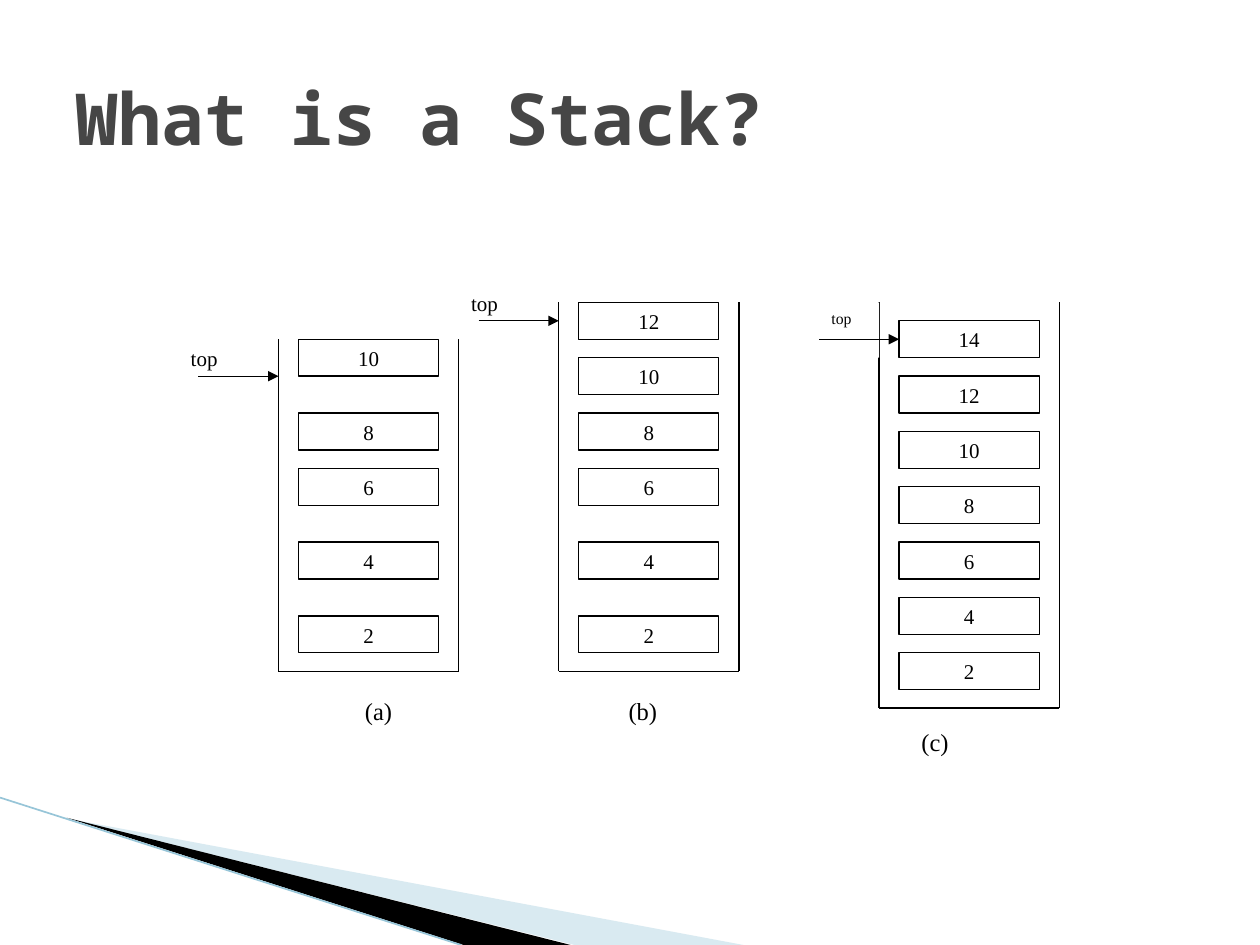
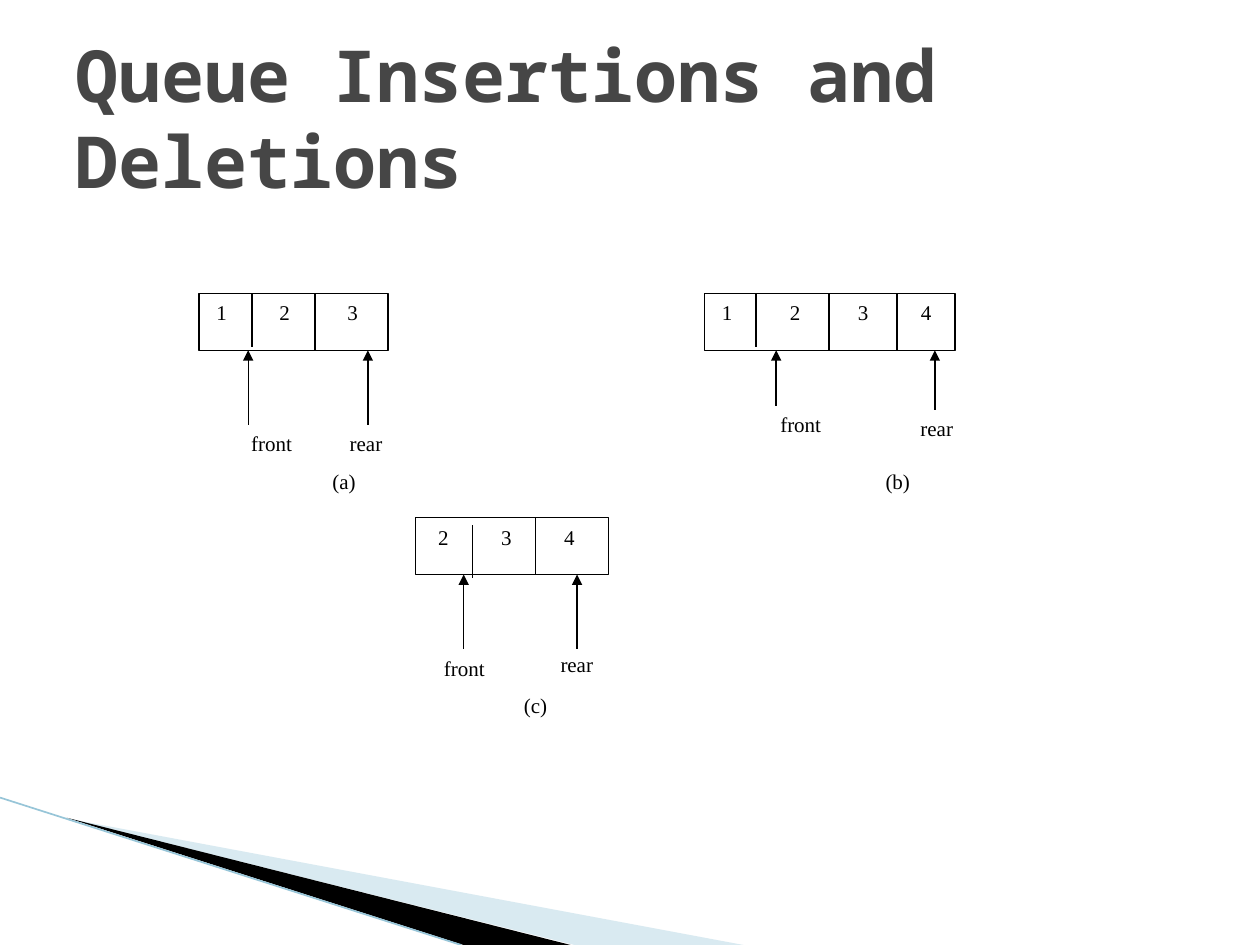
import pptx
import pptx.dml.color
import pptx.enum.shapes
import pptx.enum.text
import pptx.oxml
import pptx.oxml.ns
import pptx.util

SLIDE_W, SLIDE_H = pptx.util.Inches(10), pptx.util.Inches(7.5)
STEP = SLIDE_W / 100
BLACK, WHITE, TITLE_GREY = "000000", "FFFFFF", "464646"
WEDGE_BLUE, EDGE_BLUE = "A0CBDC", "97C5D8"
TITLE_FONT, LABEL_FONT = "Noto Sans Mono", "Times New Roman"
LEFT, CENTER = pptx.enum.text.PP_ALIGN.LEFT, pptx.enum.text.PP_ALIGN.CENTER

STACK_X, STACK_Y = 22.1, 24
STACK_COL, STACK_ROW = 14.3 / 9, 32.2 / 22


def emu(steps):
    """Convert steps of the 100-column slide grid to a length."""
    return int(round(steps * STEP))


def rgb(color):
    """Turn a hex string into a colour."""
    return pptx.dml.color.RGBColor.from_string(color)


def add_xml(parent, tag, **attributes):
    """Append a drawing element with the given attributes."""
    element = pptx.oxml.parse_xml(f"<a:{tag} {pptx.oxml.ns.nsdecls('a')}/>")
    for name, value in attributes.items():
        element.set(name, str(value))
    parent.append(element)
    return element


def style_font(p, size, name, color, bold=False):
    """Set the font shared by all runs of a paragraph."""
    p.font.size, p.font.name, p.font.bold = pptx.util.Pt(size), name, bold
    p.font.color.rgb = rgb(color)


def add_line(s, x1, y1, x2, y2, color=BLACK, width=0.75, arrow=False):
    """Draw a straight line, with an arrowhead at its end if asked."""
    line = s.shapes.add_connector(pptx.enum.shapes.MSO_CONNECTOR.STRAIGHT,
                                  emu(x1), emu(y1), emu(x2), emu(y2))
    line.line.color.rgb = rgb(color)
    line.line.width = pptx.util.Pt(width)
    if arrow:
        add_xml(line.line._get_or_add_ln(), "tailEnd", type="triangle")
    add_xml(line._element.spPr, "effectLst")


def add_box(s, x, y, w, h, text, size=12, align=CENTER, outlined=False, stops=()):
    """Draw a white rectangle holding one top-anchored line of text."""
    sp = s.shapes.add_shape(pptx.enum.shapes.MSO_SHAPE.RECTANGLE,
                            emu(x), emu(y), emu(w), emu(h))
    sp.shadow.inherit = False
    sp.fill.solid()
    sp.fill.fore_color.rgb = rgb(WHITE)
    if outlined:
        sp.line.color.rgb = rgb(BLACK)
        sp.line.width = pptx.util.Pt(0.75)
    else:
        sp.line.fill.background()
    tf = sp.text_frame
    tf.word_wrap = True
    tf.vertical_anchor = pptx.enum.text.MSO_ANCHOR.TOP
    p = tf.paragraphs[0]
    p.text, p.alignment = text, align
    if stops:
        tabs = add_xml(p._p.get_or_add_pPr(), "tabLst")
        for stop in stops:
            add_xml(tabs, "tab", pos=emu(stop), algn="l")
    style_font(p, size, LABEL_FONT, BLACK)


def add_wedge(s, points, color, opacity=100):
    """Draw a filled triangle without an outline."""
    start, *rest = [(emu(x), emu(y)) for x, y in points]
    builder = s.shapes.build_freeform(*start)
    builder.add_line_segments(rest, close=True)
    sp = builder.convert_to_shape()
    sp.shadow.inherit = False
    sp.fill.solid()
    sp.fill.fore_color.rgb = rgb(color)
    sp.line.fill.background()
    if opacity < 100:
        fill = sp._element.spPr.find(pptx.oxml.ns.qn("a:solidFill"))
        add_xml(fill[0], "alpha", val=opacity * 1000)


def add_base(prs, title):
    """Add a slide with the corner sweep and its title."""
    s = prs.slides.add_slide(prs.slide_layouts[6])
    add_wedge(s, [(5.5, 65), (59, 75), (45.6, 75)], WEDGE_BLUE, 40)
    add_wedge(s, [(5.3, 64.9), (45.3, 75), (36.8, 75)], BLACK)
    add_line(s, 0, 63.3, 36.6, 75, EDGE_BLUE, 0.95)
    tf = s.shapes.add_textbox(emu(5), emu(3), emu(90), emu(12.5)).text_frame
    tf.word_wrap = True
    tf.vertical_anchor = pptx.enum.text.MSO_ANCHOR.MIDDLE
    p = tf.paragraphs[0]
    p.text = title
    style_font(p, 41, TITLE_FONT, TITLE_GREY, True)
    return s


def add_stack(s, col, rim, floor, block_rows, pointer, caption):
    """Draw an open stack at a grid column, with its top pointer and caption."""
    def at(c, r):
        return STACK_X + (col + c) * STACK_COL, STACK_Y + r * STACK_ROW

    def size(cols, rows):
        return cols * STACK_COL, rows * STACK_ROW

    corners = [at(0, rim), at(0, floor), at(9, floor), at(9, rim)]
    for start, end in zip(corners, corners[1:]):
        add_line(s, *start, *end)
    for i, row in enumerate(block_rows, 1):
        add_box(s, *at(1, row), *size(7, 2), str(2 * i), outlined=True)

    label_col, label_cols, label_row, font_size, tail_col, head_col = pointer
    add_box(s, *at(label_col, label_row), *size(label_cols, 3), "top", font_size, LEFT)
    add_line(s, *at(tail_col, label_row + 2), *at(head_col, label_row + 2), arrow=True)
    text, caption_col, caption_row, caption_cols = caption
    add_box(s, *at(caption_col, caption_row), *size(caption_cols, 3), text, 14)


def add_queue(s, x, y, w, values, stops, dividers, short_drop, pointers, caption):
    """Draw a queue at a point, with its dividers, pointers and caption."""
    height = 4.5
    for text, arrow_x, tail_y, label_x, label_y, align in pointers:
        add_box(s, x + label_x, y + label_y, 11.5, 3, text, align=align)
    add_box(s, x, y, w, height, "".join("\t" + str(v) for v in values),
            align=LEFT, outlined=True, stops=stops)
    short, *full = dividers
    add_line(s, x + short, y + short_drop, x + short, y + short_drop + 4.2)
    for divider in full:
        add_line(s, x + divider, y, x + divider, y + height)
    for text, arrow_x, tail_y, *label in pointers:
        add_line(s, x + arrow_x, y + tail_y, x + arrow_x, y + height, arrow=True)
    text, caption_x = caption
    add_box(s, x + caption_x, y + 13.4, 7.6, 3, text, align=LEFT)


def add_stack_slide(prs):
    """Show a stack growing in three stages."""
    s = add_base(prs, "What is a Stack?")
    add_stack(s, 0, 2, 20, [17, 13, 9, 6, 2],
              (-5, 4, 2, 12, -4, 0), ("(a)", 2, 21, 6))
    add_stack(s, 14, 0, 20, [17, 13, 9, 6, 3, 0],
              (-5, 4, -1, 12, -4, 0), ("(b)", 1.2, 21, 6))
    add_stack(s, 30, 0, 22, range(19, 0, -3),
              (-3, 3, 0, 9, -3, 1), ("(c)", 0.8, 22.7, 4))


def add_queue_slide(prs):
    """Show a queue before and after an insertion and a deletion."""
    s = add_base(prs, "Queue Insertions and Deletions")
    add_queue(s, 15.8, 23.3, 15, [1, 2, 3], [0.4, 5.4, 10.8], [4.2, 9.2], 0,
              [("rear", 13.4, 10.4, 7.5, 10.4, CENTER),
               ("front", 3.9, 10.4, 0, 10.4, CENTER)], ("(a)", 9.6))
    add_queue(s, 55.9, 23.3, 19.9, [1, 2, 3, 4], [0.4, 5.8, 11.2, 16.2],
              [4.1, 9.9, 15.3], 0,
              [("front", 5.7, 8.9, 1.9, 8.9, CENTER),
               ("rear", 18.3, 9.2, 12.7, 9.2, CENTER)], ("(b)", 13.4))
    add_queue(s, 33, 41.1, 15.3, [2, 3, 4], [0.8, 5.8, 10.8], [4.5, 9.5], 0.6,
              [("rear", 12.8, 10.4, 10.5, 10.1, LEFT),
               ("front", 3.8, 10.4, -1.9, 10.4, CENTER)], ("(c)", 7.6))


def main():
    """Build the presentation and save it."""
    prs = pptx.Presentation()
    prs.slide_width, prs.slide_height = SLIDE_W, SLIDE_H
    add_stack_slide(prs)
    add_queue_slide(prs)
    prs.save("out.pptx")


if __name__ == "__main__":
    main()
